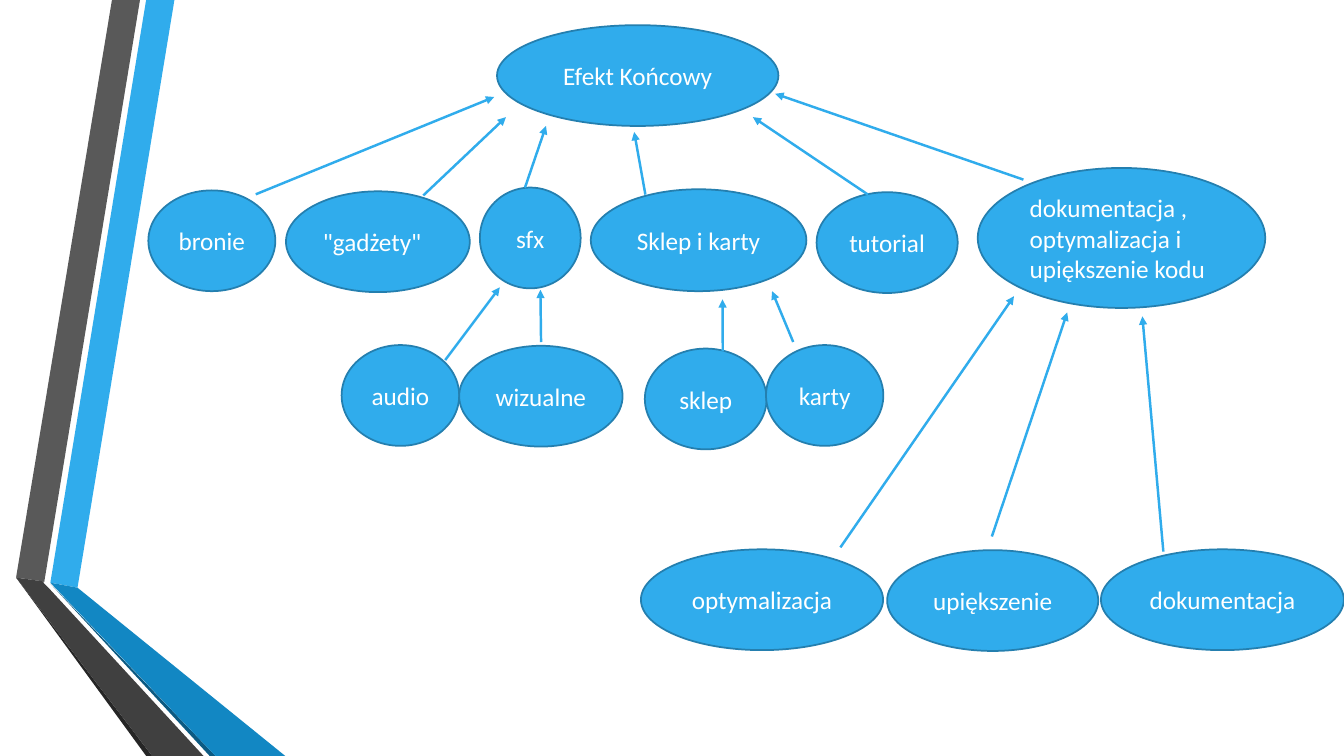
from lxml import etree
from pptx import Presentation
from pptx.dml.color import RGBColor
from pptx.enum import shapes, text
from pptx.oxml import ns
from pptx.util import Pt

BLUE = RGBColor(0x30, 0xAC, 0xEC)
OUTLINE = RGBColor(0x24, 0x7F, 0xAF)
MID_BLUE = RGBColor(0x12, 0x87, 0xC3)
DEEP_BLUE = RGBColor(0x0C, 0x5A, 0x82)
GREY = RGBColor(0x59, 0x59, 0x59)
DARK_GREY = RGBColor(0x40, 0x40, 0x40)
NEAR_BLACK = RGBColor(0x26, 0x26, 0x26)
WHITE = RGBColor(0xFF, 0xFF, 0xFF)

presentation = Presentation()
presentation.slide_width = Pt(960)
presentation.slide_height = Pt(540)
slide = presentation.slides.add_slide(presentation.slide_layouts[6])

# Folded ribbons on the left edge
ribbons = [
    (BLUE, [(36, 416.2), (55.4, 419.8), (124.6, 0), (104.4, 0)]),
    (GREY, [(100, 0), (80, 0), (11.5, 412.6), (31.7, 415.4)]),
    (NEAR_BLACK, [(11.5, 412.6), (104.4, 540), (108.7, 540)]),
    (DEEP_BLUE, [(36, 416.9), (149.8, 540), (154, 540)]),
    (MID_BLUE, [(36, 416.2), (154, 540), (203.8, 540), (55.4, 419.8)]),
    (DARK_GREY, [(145.4, 540), (34.6, 419.8), (31, 416.2), (31.7, 415.4),
                 (11.5, 412.6), (108.7, 540)]),
]
for color, points in ribbons:
    corners = [(Pt(x), Pt(y)) for x, y in points]
    builder = slide.shapes.build_freeform(*corners[0])
    builder.add_line_segments(corners[1:], close=True)
    ribbon = builder.convert_to_shape()
    ribbon.shadow.inherit = False
    ribbon.fill.solid()
    ribbon.fill.fore_color.rgb = color
    ribbon.line.fill.background()

# Task ellipses: label, left, top, width, height, alignment
CENTER, LEFT = text.PP_ALIGN.CENTER, text.PP_ALIGN.LEFT
tasks = [
    ("Efekt Końcowy", 355, 18, 201, 72, CENTER),
    ("bronie", 106, 136, 90.7, 72, CENTER),
    ('"gadżety"', 204.3, 136.7, 131.3, 72, LEFT),
    ("sfx", 342.8, 134, 72, 72, CENTER),
    ("Sklep i karty", 422, 135.2, 154, 72.8, CENTER),
    ("tutorial", 583.3, 137.3, 100.8, 72, CENTER),
    ("dokumentacja , optymalizacja i upiększenie kodu",
     698.4, 120, 205.4, 100, LEFT),
    ("audio", 244, 246.5, 84, 72, CENTER),
    ("wizualne", 328, 247, 116.7, 72, CENTER),
    ("sklep", 460.6, 249, 87, 72, CENTER),
    ("karty", 547.2, 246.5, 83.8, 72, CENTER),
    ("optymalizacja", 457.8, 392.4, 173, 72, CENTER),
    ("upiększenie", 633.7, 393, 150.8, 72, CENTER),
    ("dokumentacja", 786.4, 392.4, 173.5, 72, CENTER),
]
for label, left, top, width, height, alignment in tasks:
    ellipse = slide.shapes.add_shape(
        shapes.MSO_SHAPE.OVAL, Pt(left), Pt(top), Pt(width), Pt(height))
    ellipse.shadow.inherit = False
    ellipse.fill.solid()
    ellipse.fill.fore_color.rgb = BLUE
    ellipse.line.color.rgb = OUTLINE
    ellipse.line.width = Pt(1.25)
    frame = ellipse.text_frame
    frame.text = label
    frame.word_wrap = True
    frame.vertical_anchor = text.MSO_ANCHOR.MIDDLE
    paragraph = frame.paragraphs[0]
    paragraph.alignment = alignment
    font = paragraph.runs[0].font
    font.name = "Calibri"
    font.size = Pt(18)
    font.color.rgb = WHITE

# Arrows from each task up to the one it feeds: start x, y, end x, y
arrows = [
    (182.7, 138.8, 353, 69.3),
    (302.4, 139.6, 361.4, 83.7),
    (375, 134, 390, 90),
    (461, 139, 453, 94.3),
    (620, 139, 537.8, 83.7),
    (731, 128.3, 553.8, 67),
    (566.6, 244.3, 551.5, 208),
    (516.3, 251, 516.1, 213.8),
    (386.5, 244.3, 386, 207),
    (318, 257.2, 357, 205.2),
    (600.3, 391, 724.3, 211.6),
    (708.5, 383.2, 762.3, 223.2),
    (831, 394, 816, 226),
]
for start_x, start_y, end_x, end_y in arrows:
    arrow = slide.shapes.add_connector(
        shapes.MSO_CONNECTOR.STRAIGHT,
        Pt(start_x), Pt(start_y), Pt(end_x), Pt(end_y))
    arrow.line.color.rgb = BLUE
    arrow.line.width = Pt(1.75)
    etree.SubElement(arrow.line._get_or_add_ln(), ns.qn("a:tailEnd"),
                     type="triangle")
    etree.SubElement(arrow._element.spPr, ns.qn("a:effectLst"))

presentation.save("out.pptx")
